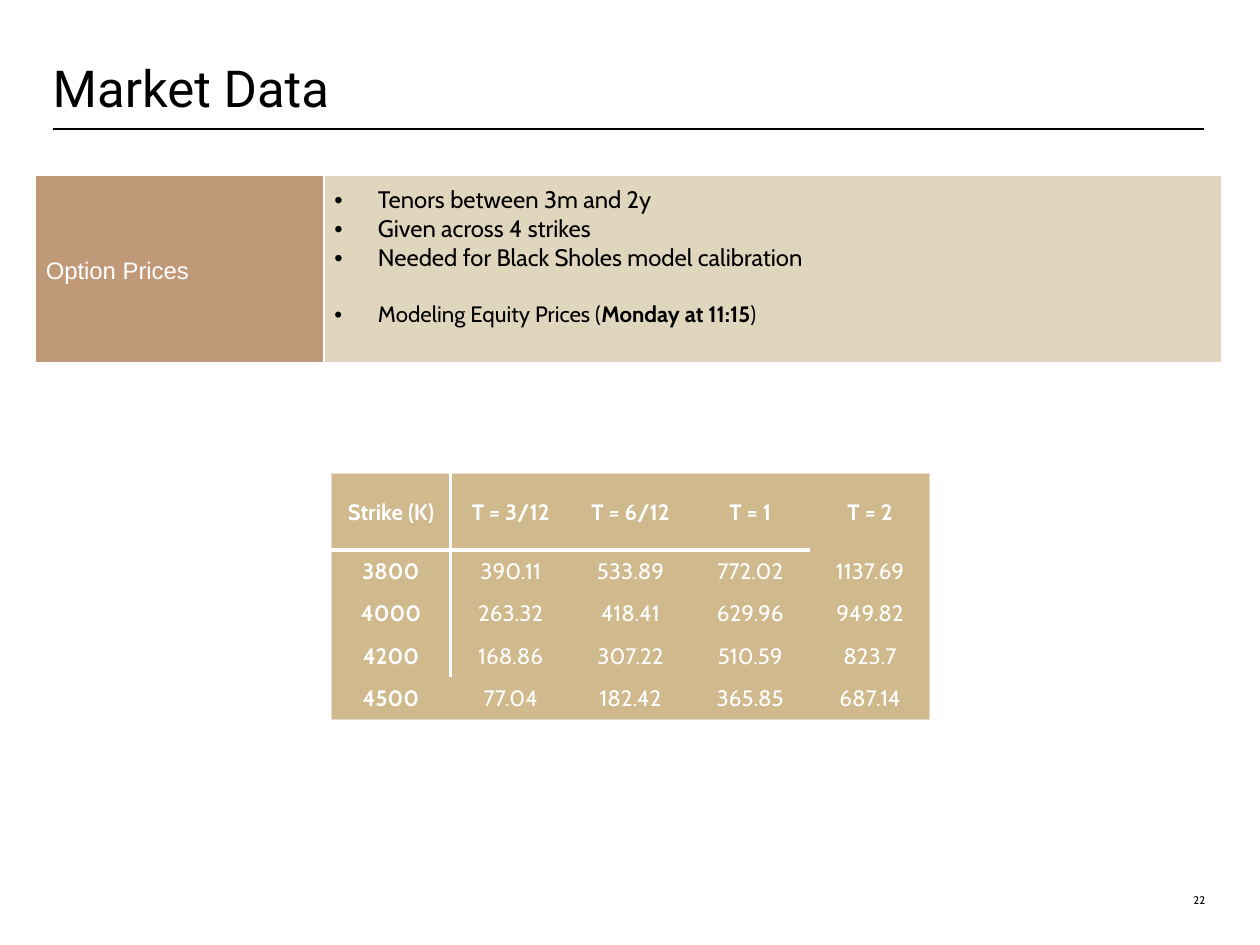
from lxml import etree
from pptx import Presentation
from pptx.dml.color import RGBColor
from pptx.enum import shapes, text
from pptx.oxml import ns
from pptx.util import Inches, Pt

BLACK = RGBColor(0x00, 0x00, 0x00)
WHITE = RGBColor(0xFF, 0xFF, 0xFF)
COPPER = RGBColor(0xC0, 0x99, 0x79)
SAND = RGBColor(0xE0, 0xD5, 0xBD)
GOLD = RGBColor(0xCF, 0xB9, 0x8D)
FRAME = RGBColor(0xE4, 0xDC, 0xD0)

# Content
TITLE = "Market Data"
PAGE_NUMBER = "22"
TOPIC = "Option Prices"
# Each bullet: size, space before, (text, bold) runs
BULLETS = [
    (15, 0, [("Tenors between 3m and 2y", False)]),
    (15, 0, [("Given across 4 strikes", False)]),
    (15, 0, [("Needed for Black Sholes model calibration", False)]),
    (14, 18, [("Modeling Equity Prices (", False), ("Monday at 11:15", True), (")", False)]),
]
PRICES = [
    ["Strike (K)", "T = 3/12", "T = 6/12", "T = 1", "T = 2"],
    ["3800", "390.11", "533.89", "772.02", "1137.69"],
    ["4000", "263.32", "418.41", "629.96", "949.82"],
    ["4200", "168.86", "307.22", "510.59", "823.7"],
    ["4500", "77.04", "182.42", "365.85", "687.14"],
]


def set_font(paragraph, name, size, color, bold=False):
    font = paragraph.font
    font.name, font.size, font.bold = name, Pt(size), bold
    font.color.rgb = color


def clear_margins(frame):
    frame.margin_left = frame.margin_top = frame.margin_right = frame.margin_bottom = 0


def add_plain_table(rows, columns, left, top, widths, heights):
    frame = slide.shapes.add_table(rows, columns, Inches(left), Inches(top),
                                   Inches(sum(widths)), Inches(sum(heights)))
    table = frame.table
    table.first_row = table.horz_banding = False
    for column, width in zip(table.columns, widths):
        column.width = Inches(width)
    for row, height in zip(table.rows, heights):
        row.height = Inches(height)
    return table


def format_cell(cell, fill, margins, borders):
    """Borders are (color, points) or None, in the order left, right, top, bottom."""
    properties = cell._tc.get_or_add_tcPr()
    for side, border in zip("LRTB", borders):
        line = etree.SubElement(properties, ns.qn(f"a:ln{side}"))
        if border:
            color, width = border
            line.set("w", str(Pt(width)))
            solid = etree.SubElement(line, ns.qn("a:solidFill"))
            etree.SubElement(solid, ns.qn("a:srgbClr"), val=str(color))
        else:
            etree.SubElement(line, ns.qn("a:noFill"))
    cell.fill.solid()
    cell.fill.fore_color.rgb = fill
    cell.margin_left, cell.margin_top, cell.margin_right, cell.margin_bottom = map(Inches, margins)
    cell.vertical_anchor = text.MSO_ANCHOR.MIDDLE


def add_bullet(paragraph):
    properties = paragraph._p.get_or_add_pPr()
    properties.set("marL", str(Inches(0.38)))
    properties.set("indent", str(Inches(-0.38)))
    font = etree.Element(ns.qn("a:buFont"), typeface="Arial")
    bullet = etree.Element(ns.qn("a:buChar"), char="•")
    default_font = properties.find(ns.qn("a:defRPr"))
    default_font.addprevious(font)
    default_font.addprevious(bullet)


presentation = Presentation()
presentation.slide_width, presentation.slide_height = Inches(11), Inches(8.25)
slide = presentation.slides.add_slide(presentation.slide_layouts[5])

# Title and rule
title = slide.shapes.title
title.left, title.top, title.width, title.height = map(Inches, (0.46, 0, 10.05, 1.03))
frame = title.text_frame
frame.text = TITLE
frame.auto_size = text.MSO_AUTO_SIZE.NONE
frame.vertical_anchor = text.MSO_ANCHOR.BOTTOM
clear_margins(frame)
paragraph = frame.paragraphs[0]
paragraph.alignment = text.PP_ALIGN.LEFT
paragraph.line_spacing = Pt(32)
set_font(paragraph, "Roboto", 32, BLACK)

rule = slide.shapes.add_connector(shapes.MSO_CONNECTOR.STRAIGHT, Inches(0.46), Inches(1.13),
                                  Inches(10.51), Inches(1.13))
rule.line.color.rgb = BLACK
rule.line.width = Pt(1.25)
etree.SubElement(rule._element.spPr, ns.qn("a:effectLst"))

# Topic table
topic_table = add_plain_table(1, 2, 0.31, 1.53, [2.52, 7.84], [1.65])
topic_cell, notes_cell = topic_table.cell(0, 0), topic_table.cell(0, 1)
for cell, fill in ((topic_cell, COPPER), (notes_cell, SAND)):
    format_cell(cell, fill, (0.09, 0.09, 0.07, 0.06), [(WHITE, 1)] * 3 + [(WHITE, 3)])
topic_cell.text = TOPIC
set_font(topic_cell.text_frame.paragraphs[0], "Arial", 15, WHITE)

notes_cell.vertical_anchor = text.MSO_ANCHOR.TOP
frame = notes_cell.text_frame
for index, (size, space, runs) in enumerate(BULLETS):
    paragraph = frame.add_paragraph() if index else frame.paragraphs[0]
    paragraph.space_before = Pt(space)
    set_font(paragraph, "Cabin", size, BLACK)
    add_bullet(paragraph)
    for content, bold in runs:
        run = paragraph.add_run()
        run.text = content
        run.font.bold = bold

# Price table: outer frame, white lines beside the strikes and below the header
count = len(PRICES)
outer, beside, below = (FRAME, 0.75), (WHITE, 2), (WHITE, 3)


def edge(position, across, inner):
    if position in (0, count):
        return outer
    return inner if position == 1 and across < count - 1 else None


price_table = add_plain_table(count, count, 2.89, 4.13, [1.046] * count, [0.67] + [0.37] * 4)
for row, values in enumerate(PRICES):
    for column, value in enumerate(values):
        cell = price_table.cell(row, column)
        format_cell(cell, GOLD, (0.01, 0.01, 0.01, 0),
                    [edge(column, row, beside), edge(column + 1, row, beside),
                     edge(row, column, below), edge(row + 1, column, below)])
        cell.text = value
        paragraph = cell.text_frame.paragraphs[0]
        paragraph.alignment = text.PP_ALIGN.CENTER
        set_font(paragraph, "Cabin", 14, WHITE, bold=row == 0 or column == 0)

# Page number
number = slide.shapes.add_textbox(Inches(10.07), Inches(7.5), Inches(0.45), Inches(0.42))
frame = number.text_frame
frame.word_wrap = True
frame.vertical_anchor = text.MSO_ANCHOR.BOTTOM
clear_margins(frame)
frame.text = PAGE_NUMBER
frame.paragraphs[0].alignment = text.PP_ALIGN.RIGHT
set_font(frame.paragraphs[0], "Cabin", 7, BLACK)

presentation.save("out.pptx")
